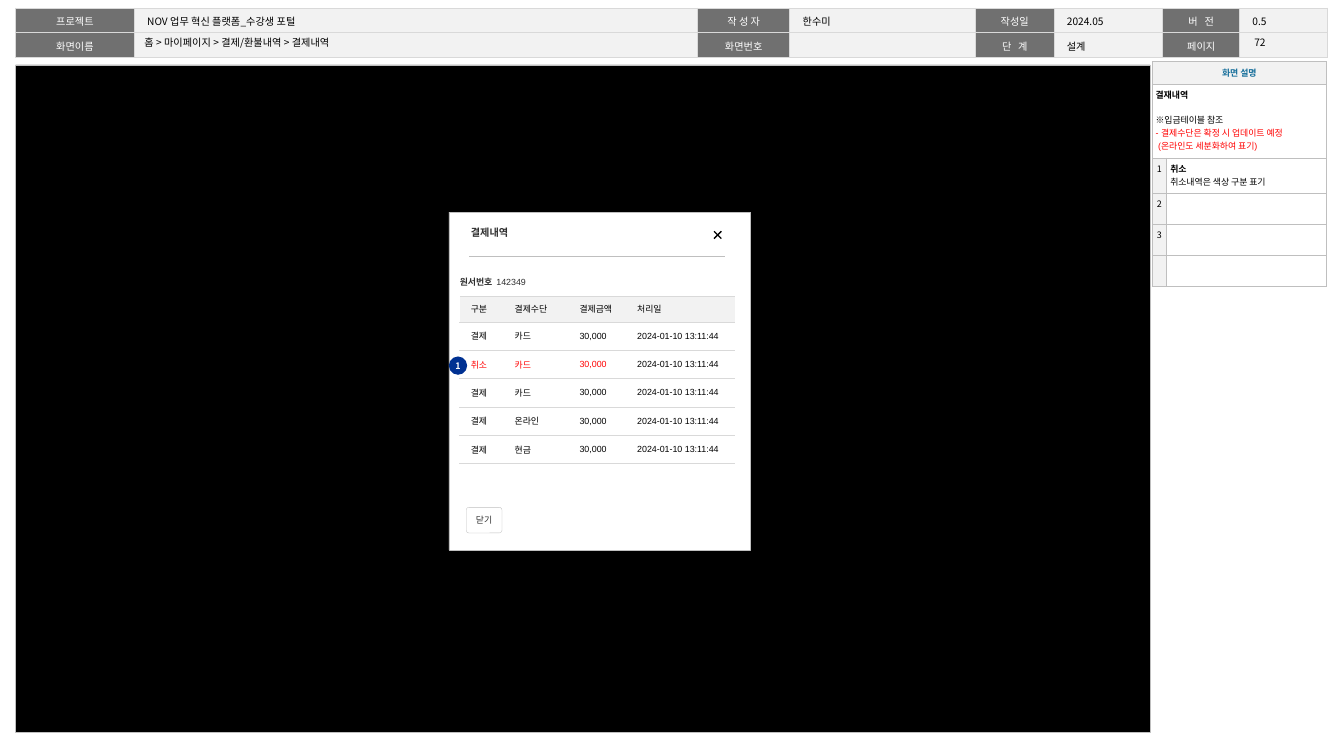
from lxml import etree
from pptx import Presentation
from pptx.dml.color import RGBColor
from pptx.enum.shapes import MSO_CONNECTOR, MSO_SHAPE
from pptx.enum.text import MSO_ANCHOR, PP_ALIGN
from pptx.oxml.ns import qn
from pptx.util import Inches, Pt

LINE = MSO_CONNECTOR.STRAIGHT
RECT, ROUND, OVAL = MSO_SHAPE.RECTANGLE, MSO_SHAPE.ROUNDED_RECTANGLE, MSO_SHAPE.OVAL
TOP, MIDDLE = MSO_ANCHOR.TOP, MSO_ANCHOR.MIDDLE
LEFT, CENTER = PP_ALIGN.LEFT, PP_ALIGN.CENTER
NOTO, ARIAL = "Noto Sans CJK KR", "Arial"
COLORS = {
    "black": "000000", "white": "FFFFFF", "ink": "2E2E2E", "label": "707070",
    "pale": "F2F2F2", "rule": "D9D9D9", "edge": "BFBFBF", "red": "FF0000",
    "heading": "176F9B", "badge": "003192",
}


def rgb(name):
    return RGBColor.from_string(COLORS[name])


def style(r, size=7, font=ARIAL, color="black", bold=False):
    r.font.size = Pt(size)
    r.font.name = font
    r.font.bold = bold
    r.font.color.rgb = rgb(color)
    etree.SubElement(r.font._element, qn("a:ea"), typeface=NOTO)


def write(p, text, align=LEFT, **look):
    p.text = text
    p.alignment = align
    for r in p.runs:
        style(r, **look)


def frame(tf, insets, anchor=MIDDLE, wrap=True):
    tf.margin_left, tf.margin_top, tf.margin_right, tf.margin_bottom = map(Inches, insets)
    tf.vertical_anchor = anchor
    tf.word_wrap = wrap


def add_text(s, x, y, w, h, insets, anchor=MIDDLE):
    tf = s.shapes.add_textbox(Inches(x), Inches(y), Inches(w), Inches(h)).text_frame
    frame(tf, insets, anchor)
    return tf.paragraphs[0]


def add_box(s, kind, x, y, w, h, fill, edge=None, width=0.5):
    sp = s.shapes.add_shape(kind, Inches(x), Inches(y), Inches(w), Inches(h))
    sp.shadow.inherit = False
    sp.fill.solid()
    sp.fill.fore_color.rgb = rgb(fill)
    if edge:
        sp.line.color.rgb = rgb(edge)
        sp.line.width = Pt(width)
    else:
        sp.line.fill.background()
    return sp


def add_line(shapes, x1, y1, x2, y2, color, width):
    c = shapes.add_connector(LINE, Inches(x1), Inches(y1), Inches(x2), Inches(y2))
    c.line.color.rgb = rgb(color)
    c.line.width = Pt(width)
    etree.SubElement(c._element.spPr, qn("a:effectLst"))


def add_table(s, x, y, cols, rows):
    table = s.shapes.add_table(len(rows), len(cols), Inches(x), Inches(y),
                               Inches(sum(cols)), Inches(sum(rows))).table
    table.first_row = table.horz_banding = False
    for column, w in zip(table.columns, cols):
        column.width = Inches(w)
    for row, h in zip(table.rows, rows):
        row.height = Inches(h)
    return table


def format_cell(cell, fill, borders, insets, anchor=TOP):
    tcPr = cell._tc.get_or_add_tcPr()
    for side in "LRTB":
        if side in borders:
            color, width = borders[side]
            ln = etree.SubElement(tcPr, qn("a:ln" + side), w=str(Pt(width)))
            solid = etree.SubElement(ln, qn("a:solidFill"))
            etree.SubElement(solid, qn("a:srgbClr"), val=COLORS[color])
        else:
            ln = etree.SubElement(tcPr, qn("a:ln" + side), w="0")
            etree.SubElement(ln, qn("a:noFill"))
    cell.fill.solid()
    cell.fill.fore_color.rgb = rgb(fill)
    cell.margin_left, cell.margin_top, cell.margin_right, cell.margin_bottom = map(Inches, insets)
    cell.vertical_anchor = anchor
    p = cell.text_frame.paragraphs[0]
    etree.SubElement(p._p, qn("a:endParaRPr"), sz="700")
    return p


def draw_header(s, x, y):
    rows = [
        ["프로젝트", "NOV 업무 혁신 플랫폼_수강생 포털", "작 성 자", "한수미",
         "작성일", "2024.05", "버 전", "0.5"],
        ["화면이름", "", "화면번호", "", "단 계", "설계", "페이지", ""],
    ]
    cols = [1.3, 6.16, 1.01, 2.03, 0.86, 1.19, 0.84, 0.96]
    table = add_table(s, x, y, cols, [0.24, 0.24])
    borders = dict.fromkeys("LRTB", ("rule", 1))
    for i, row in enumerate(rows):
        for j, text in enumerate(row):
            is_label = j % 2 == 0
            p = format_cell(table.cell(i, j), "label" if is_label else "pale",
                            borders, (0.14, 0.05, 0.14, 0.05))
            p.line_spacing = 1.05
            write(p, text, CENTER if is_label else LEFT, size=8, font=NOTO,
                  color="white" if is_label else "black")
            if text in ("버 전", "단 계"):
                p.runs[0].font._element.set("spc", "180")
    p = add_text(s, x + 1.3, y + 0.29, 5.91, 0.16, (0.11, 0.05, 0.11, 0.05))
    write(p, "홈 > 마이페이지 > 결제/환불내역 > 결제내역", size=8, font=NOTO)
    p = add_text(s, x + 13.45, y + 0.29, 0.72, 0.16, (0.1, 0.05, 0.1, 0.05))
    write(p, "72", size=8, font=NOTO)


def draw_description(s, x, y):
    table = add_table(s, x, y, [0.16, 1.75], [0.25, 0.81, 0.38, 0.34, 0.34, 0.34])
    borders = dict.fromkeys("LRTB", ("edge", 0.25))
    insets = (0.04, 0.05, 0.04, 0.05)
    for i in range(2):
        table.cell(i, 0).merge(table.cell(i, 1))
    for i in range(6):
        for j in range(2):
            fill = "pale" if i == 0 or (i > 1 and j == 0) else "white"
            anchor = MIDDLE if i == 0 or (i, j) == (2, 1) else TOP
            format_cell(table.cell(i, j), fill, borders, insets, anchor)
    write(table.cell(0, 0).text_frame.paragraphs[0], "화면 설명", CENTER,
          font=NOTO, color="heading", bold=True)
    notes = [("결재내역", "black", True), ("※입금테이블 참조", "black", False),
             ("- 결제수단은 확정 시 업데이트 예정", "red", False),
             (" (온라인도 세분화하여 표기)", "red", False)]
    tf = table.cell(1, 0).text_frame
    for i, (text, color, bold) in enumerate(notes):
        p = tf.add_paragraph() if i else tf.paragraphs[0]
        write(p, text, color=color, bold=bold)
    tf.paragraphs[1].space_before = Pt(9.5)
    for i in range(1, 4):
        write(table.cell(i + 1, 0).text_frame.paragraphs[0], str(i), CENTER, font=NOTO)
    tf = table.cell(2, 1).text_frame
    write(tf.paragraphs[0], "취소", bold=True)
    write(tf.add_paragraph(), "취소내역은 색상 구분 표기")


def draw_payments(s, x, y):
    payments = [("결제", "카드"), ("취소", "카드"), ("결제", "카드"),
                ("결제", "온라인"), ("결제", "현금")]
    rows = [("구분", "결제수단", "결제금액", "처리일")]
    rows += [(kind, means, "30,000", "2024-01-10 13:11:44") for kind, means in payments]
    table = add_table(s, x, y, [0.48, 0.71, 0.63, 1.19], [0.28] + [0.31] * 5)
    for i, row in enumerate(rows):
        for j, text in enumerate(row):
            borders = {"T": ("rule", 0.25), "B": ("rule", 0.25)}
            if j == 0:
                borders["L"] = ("white", 1)
            pad = 0 if j == 3 else 0.05
            p = format_cell(table.cell(i, j), "white" if i else "pale", borders,
                            (0.12, pad, 0.08, pad), MIDDLE)
            write(p, text, font=NOTO if i and (j == 0 or (i > 3 and j == 1)) else ARIAL,
                  color="red" if row[0] == "취소" and j < 3 else "black")


def draw_modal(s, x, y, w, h):
    sp = add_box(s, RECT, x, y, w, h, "white", "edge")
    frame(sp.text_frame, (0.24, 0.16, 0.16, 0.05), TOP)
    write(sp.text_frame.paragraphs[0], "결제내역", size=8, font=NOTO, color="ink", bold=True)

    close = s.shapes.add_group_shape()
    left, right, top, bottom = x + 2.9, x + 2.98, y + 0.21, y + 0.29
    add_line(close.shapes, left, top, right, bottom, "black", 1)
    add_line(close.shapes, right, top, left, bottom, "black", 1)

    button = add_box(s, ROUND, x + 0.19, y + 3.23, 0.39, 0.28, "white", "edge", 0.25)
    button.adjustments[0] = 0.1
    frame(button.text_frame, (0.04, 0, 0.04, 0), wrap=False)
    write(button.text_frame.paragraphs[0], "닫기", CENTER, color="ink")

    add_line(s.shapes, x + 0.22, y + 0.48, x + 3.02, y + 0.48, "edge", 0.25)
    p = add_text(s, x + 0.12, y + 0.6, 2.85, 0.25, (0, 0.05, 0, 0.05), TOP)
    p.line_spacing = 1.5
    write(p, "원서번호 ", color="ink", bold=True)
    r = p.add_run()
    r.text = " 142349"
    style(r, color="ink")

    draw_payments(s, x + 0.12, y + 0.92)
    badge = add_box(s, OVAL, x, y + 1.58, 0.2, 0.2, "badge")
    frame(badge.text_frame, (0, 0, 0, 0), wrap=False)
    write(badge.text_frame.paragraphs[0], "1", CENTER, font=NOTO, color="white", bold=True)


def main():
    prs = Presentation()
    prs.slide_width, prs.slide_height = Inches(14.7), Inches(8.27)
    s = prs.slides.add_slide(prs.slide_layouts[6])
    draw_header(s, 0.17, 0.09)
    add_box(s, RECT, 0.17, 0.71, 12.41, 7.3, "black", "edge")
    draw_description(s, 12.6, 0.67)
    draw_modal(s, 4.91, 2.32, 3.3, 3.7)
    prs.save("out.pptx")


if __name__ == "__main__":
    main()
